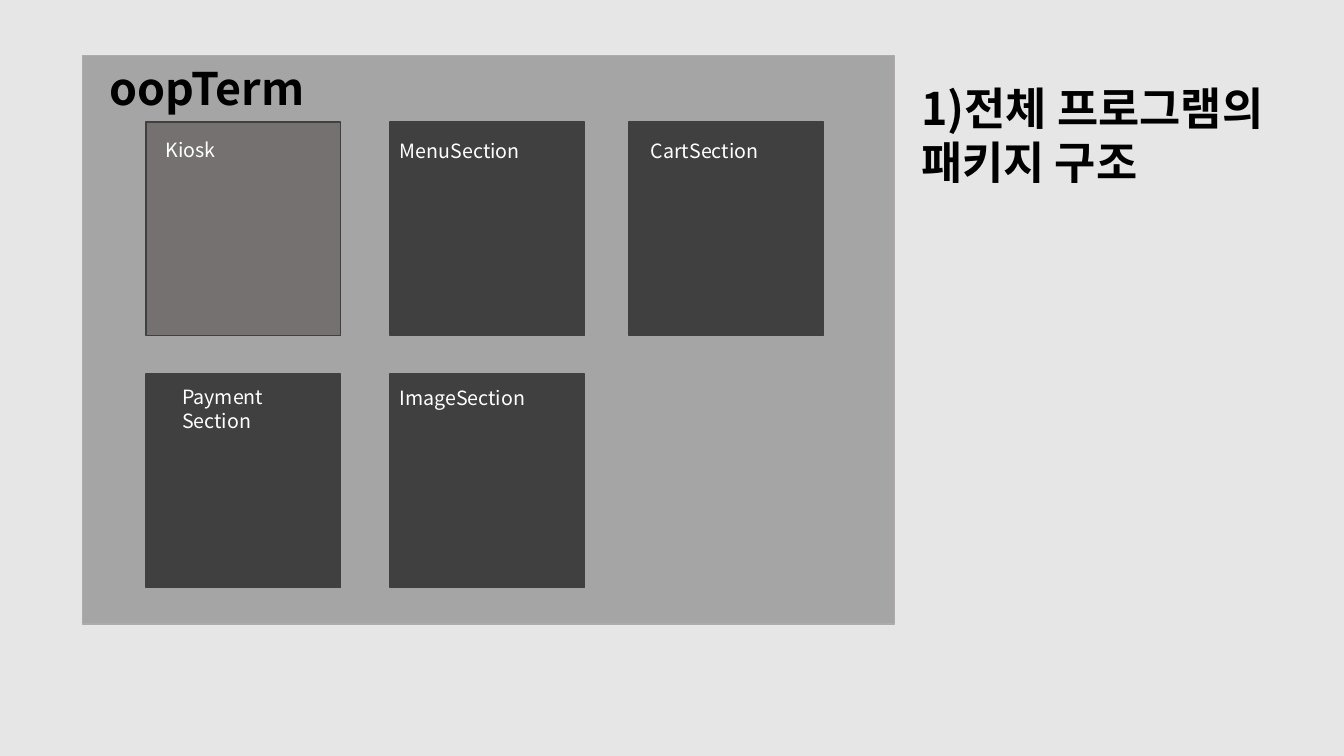
import pptx
import pptx.util
import pptx.dml.color
import pptx.enum.shapes
import pptx.enum.text
import pptx.oxml.ns
import lxml.etree

Cm = pptx.util.Cm
RGB = pptx.dml.color.RGBColor
FONT = "Noto Sans CJK KR"
PAPER = RGB(0xE7, 0xE6, 0xE6)
PANEL = RGB(0xA5, 0xA5, 0xA5)
EDGE = RGB(0xAF, 0xAB, 0xAB)
DARK = RGB(0x40, 0x40, 0x40)
WARM = RGB(0x76, 0x71, 0x71)
BLACK = RGB(0, 0, 0)
WHITE = RGB(0xFF, 0xFF, 0xFF)

COLS = (1.6, 7.75, 13.77)
ROWS = (1.68, 8.03)
TILE = (4.9, 5.37)
# Text, fill, and label box (left, top, width, height) within its tile
PACKS = (
    ("Kiosk", WARM, (0.25, 0.28, 3.6, 0.86)),
    ("MenuSection", DARK, (0, 0.3, 3.6, 0.86)),
    ("CartSection", DARK, (0.3, 0.3, 4.27, 1.19)),
    ("Payment\nSection", DARK, (0.66, 0.15, 3.38, 2)),
    ("ImageSection", DARK, (0, 0.18, 4.9, 1.19)),
)


def put_text(shape, text, size=14, color=WHITE, bold=False):
    frame = shape.text_frame
    frame.word_wrap = True
    frame.auto_size = pptx.enum.text.MSO_AUTO_SIZE.NONE
    frame.vertical_anchor = pptx.enum.text.MSO_ANCHOR.TOP
    frame.text = text
    for para in frame.paragraphs:
        para.alignment = pptx.enum.text.PP_ALIGN.LEFT
        for run in para.runs:
            font = run.font
            font.name, font.size, font.bold = FONT, pptx.util.Pt(size), bold
            font.color.rgb = color
            east = lxml.etree.SubElement(run._r.get_or_add_rPr(), pptx.oxml.ns.qn("a:ea"))
            east.set("typeface", FONT)


def add_rect(slide, box, fill, line):
    kind = pptx.enum.shapes.MSO_SHAPE.RECTANGLE
    rect = slide.shapes.add_shape(kind, *map(Cm, box))
    rect.shadow.inherit = False
    rect.fill.solid()
    rect.fill.fore_color.rgb = fill
    rect.line.color.rgb = line
    rect.line.width = pptx.util.Pt(1)


def add_label(slide, box, text, **style):
    put_text(slide.shapes.add_textbox(*map(Cm, box)), text, **style)


def add_title(slide, box, text):
    title = slide.shapes.title
    title.left, title.top, title.width, title.height = map(Cm, box)
    put_text(title, text, size=32, color=BLACK, bold=True)


def add_tile(slide, box, text, fill, inner):
    add_rect(slide, box, fill, DARK)
    left, top, wide, high = inner
    add_label(slide, (box[0] + left, box[1] + top, wide, high), text)


def add_panel(slide, box, name):
    """Draw the outer package and its grid of inner packages."""
    left, top = box[:2]
    add_rect(slide, box, PANEL, EDGE)
    add_label(slide, (left + 0.43, top, 6.07, 1.63), name, size=32, color=BLACK, bold=True)
    for i, (text, fill, inner) in enumerate(PACKS):
        row, col = divmod(i, len(COLS))
        add_tile(slide, (left + COLS[col], top + ROWS[row], *TILE), text, fill, inner)


def main():
    deck = pptx.Presentation()
    deck.slide_width, deck.slide_height = Cm(33.87), Cm(19.05)
    slide = deck.slides.add_slide(deck.slide_layouts.get_by_name("Title Only"))
    slide.background.fill.solid()
    slide.background.fill.fore_color.rgb = PAPER
    add_title(slide, (22.96, 1.9, 10.13, 3), "1)전체 프로그램의 패키지 구조")
    add_panel(slide, (2.08, 1.4, 20.47, 14.33), "oopTerm")
    deck.save("out.pptx")


if __name__ == "__main__":
    main()
